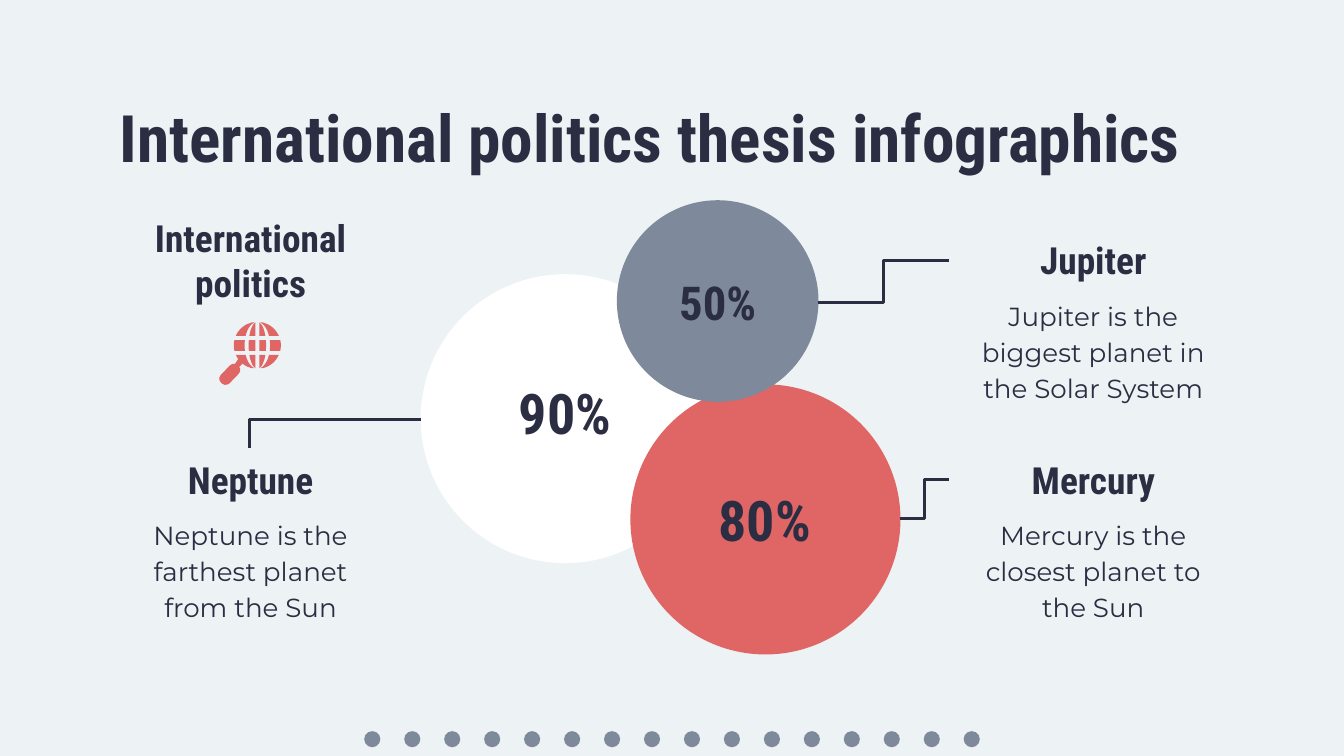
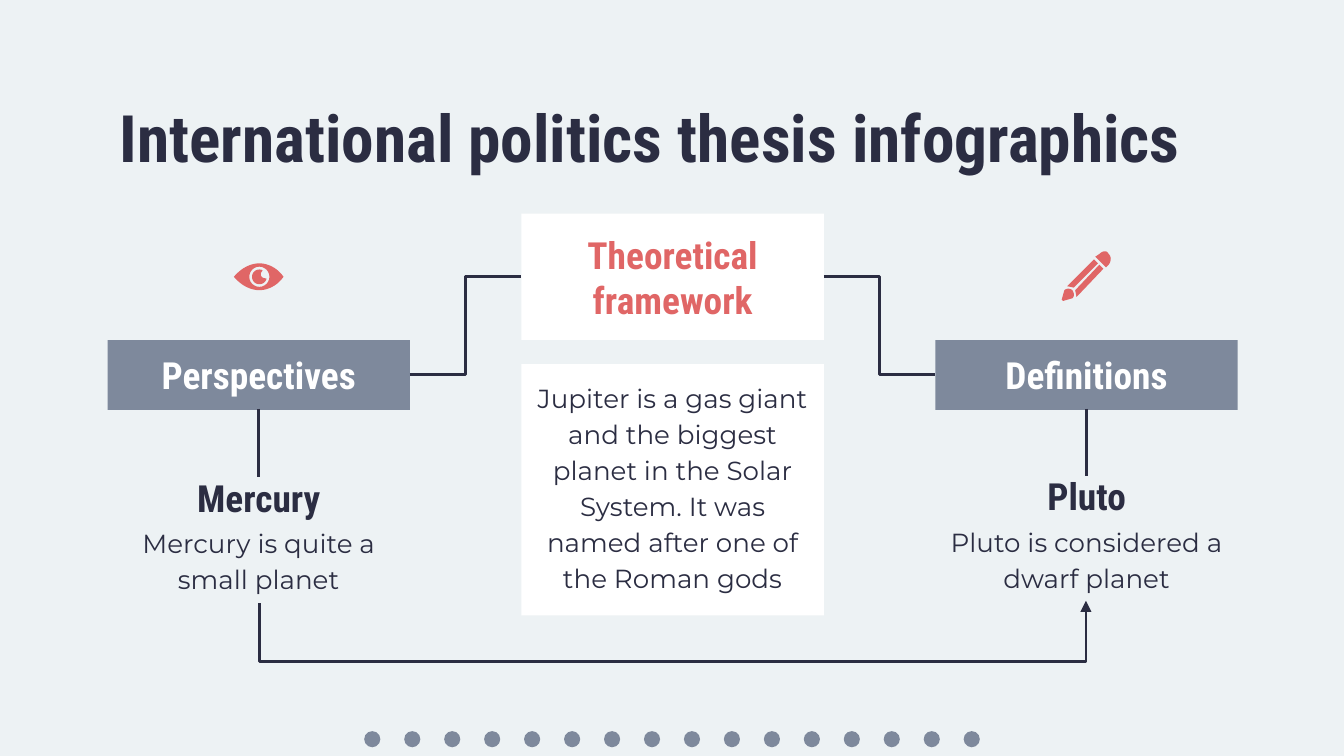
from dataclasses import dataclass
from itertools import product
from math import cos, pi, sin, sqrt
from typing import NamedTuple

from lxml.etree import SubElement
from pptx import Presentation
from pptx.dml.color import RGBColor
from pptx.enum.shapes import MSO_CONNECTOR, MSO_SHAPE
from pptx.enum.text import MSO_ANCHOR, PP_ALIGN
from pptx.oxml.ns import qn
from pptx.shapes.autoshape import Shape
from pptx.shapes.connector import Connector
from pptx.slide import Slide
from pptx.util import Inches, Pt


class TextStyle(NamedTuple):
    font: str
    size: int
    color: RGBColor
    bold: bool = True
    align: PP_ALIGN = PP_ALIGN.CENTER
    anchor: MSO_ANCHOR = MSO_ANCHOR.MIDDLE
    line_spacing: float | None = None


class Theme:
    background = RGBColor.from_string("EDF2F4")
    navy = RGBColor.from_string("2B2D42")
    slate = RGBColor.from_string("7E899C")
    coral = RGBColor.from_string("E06666")
    white = RGBColor.from_string("FFFFFF")
    line_width = 1.5
    margin = 0.1
    display, text = "Roboto Condensed", "Montserrat"
    title = TextStyle(display, 35, navy, align=PP_ALIGN.LEFT, anchor=MSO_ANCHOR.TOP)
    heading = TextStyle(display, 20, navy)
    heading_white = heading._replace(color=white)
    heading_coral = heading._replace(color=coral)
    figure = heading._replace(size=30)
    figure_small = heading._replace(size=25)
    body = TextStyle(text, 14, navy, bold=False, anchor=MSO_ANCHOR.TOP, line_spacing=1.15)


class Box(NamedTuple):
    left: float
    top: float
    width: float
    height: float

    def emu(self) -> list[int]:
        return [Inches(length) for length in self]


Point = tuple[float, float]


@dataclass(frozen=True)
class Planet:
    name: str
    description: str
    name_box: Box
    description_box: Box


@dataclass(frozen=True)
class Bubble:
    circle: Box
    color: RGBColor
    percent: str
    percent_box: Box
    percent_style: TextStyle
    planet: Planet


@dataclass(frozen=True)
class Panel:
    text: str
    box: Box
    color: RGBColor
    style: TextStyle


# Text and shapes
def write(shape: Shape, text: str, style: TextStyle) -> None:
    frame = shape.text_frame
    frame.word_wrap = True
    frame.vertical_anchor = style.anchor
    frame.margin_left = frame.margin_right = Inches(Theme.margin)
    frame.margin_top = frame.margin_bottom = Inches(Theme.margin)
    paragraph = frame.paragraphs[0]
    paragraph.text = text
    paragraph.alignment = style.align
    paragraph.line_spacing = style.line_spacing
    font = paragraph.font
    font.name, font.size, font.bold = style.font, Pt(style.size), style.bold
    font.color.rgb = style.color


def add_text(slide: Slide, box: Box, text: str, style: TextStyle) -> None:
    write(slide.shapes.add_textbox(*box.emu()), text, style)


def paint(shape: Shape, color: RGBColor) -> Shape:
    shape.shadow.inherit = False
    shape.fill.solid()
    shape.fill.fore_color.rgb = color
    shape.line.fill.background()
    return shape


def add_filled(slide: Slide, preset: MSO_SHAPE, box: Box, color: RGBColor) -> Shape:
    return paint(slide.shapes.add_shape(preset, *box.emu()), color)


def add_planet(slide: Slide, planet: Planet) -> None:
    add_text(slide, planet.name_box, planet.name, Theme.heading)
    add_text(slide, planet.description_box, planet.description, Theme.body)


# Connectors
def add_link(slide: Slide, start: Point, end: Point,
             kind: MSO_CONNECTOR = MSO_CONNECTOR.ELBOW) -> Connector:
    link = slide.shapes.add_connector(kind, *(Inches(v) for v in (*start, *end)))
    link.line.color.rgb = Theme.navy
    link.line.width = Pt(Theme.line_width)
    SubElement(link._element.spPr, qn("a:effectLst"))
    return link


def add_corner_link(slide: Slide, start: Point, end: Point) -> None:
    """One bend: across first, then down."""
    link = add_link(slide, start, end)
    link._element.spPr.find(qn("a:prstGeom")).set("prst", "bentConnector2")


def add_loop_arrow(slide: Slide, start: Point, end: Point, floor: float) -> None:
    """Down from start to the floor, across, and up to an arrowhead at end."""
    rise, run = start[1] - end[1], end[0] - start[0]
    middle_x, middle_y = (start[0] + end[0]) / 2, (start[1] + end[1]) / 2
    link = add_link(slide, (middle_x - rise / 2, middle_y - run / 2),
                    (middle_x + rise / 2, middle_y + run / 2))
    properties = link._element.spPr
    properties.find(qn("a:xfrm")).set("rot", str(270 * 60000))
    adjustment = round((start[1] - floor) / rise * 100000)
    guides = properties.find(qn("a:prstGeom")).find(qn("a:avLst"))
    SubElement(guides, qn("a:gd"), name="adj1", fmla=f"val {adjustment}")
    SubElement(properties.find(qn("a:ln")), qn("a:tailEnd"), type="triangle")


# Icon outlines
def arc(center: Point, radius: float, start: float = 0, end: float = 360,
        steps: int = 24) -> list[Point]:
    angles = [(start + (end - start) * i / steps) * pi / 180 for i in range(steps + 1)]
    return [(center[0] + radius * cos(a), center[1] + radius * sin(a)) for a in angles]


def curve(a: Point, b: Point, c: Point, d: Point, steps: int = 10) -> list[Point]:
    def at(t: float) -> Point:
        weights = ((1 - t) ** 3, 3 * t * (1 - t) ** 2, 3 * t * t * (1 - t), t ** 3)
        x, y = (sum(w * p[axis] for w, p in zip(weights, (a, b, c, d))) for axis in (0, 1))
        return x, y
    return [at(i / steps) for i in range(steps + 1)]


def add_outline(slide: Slide, *contours: list[Point]) -> None:
    builder = None
    for contour in contours:
        first, *rest = [(Inches(x), Inches(y)) for x, y in contour]
        if builder is None:
            builder = slide.shapes.build_freeform(*first)
        else:
            builder.move_to(*first)
        builder.add_line_segments(rest, close=True)
    paint(builder.convert_to_shape(), Theme.coral)


def add_globe_magnifier(slide: Slide) -> None:
    center_x, center_y, radius = 1.915, 2.57, 0.175
    bands = ((-0.17, -0.07), (-0.04, 0.04), (0.07, 0.17))

    def meridian(reach: float, dy: float) -> float:
        return reach * sqrt(1 - (dy / radius) ** 2)

    for (top, bottom), side in product(bands, (-1, 1)):
        levels = [top + (bottom - top) * i / 8 for i in range(9)]
        inner = [(0.015, dy) for dy in (top, bottom)]
        inner_rim = [(max(meridian(0.065, dy), 0.015), dy) for dy in levels]
        outer = [(meridian(0.095, dy), dy) for dy in levels]
        outer_rim = [(meridian(radius, dy), dy) for dy in levels]
        for near, far in ((inner, inner_rim), (outer, outer_rim)):
            add_outline(slide, [(center_x + side * dx, center_y + dy)
                                for dx, dy in near + far[::-1]])
    # Neck and handle
    add_outline(slide, [(1.78, 2.66), (1.82, 2.69), (1.77, 2.74), (1.74, 2.72)])
    handle = add_filled(slide, MSO_SHAPE.ROUNDED_RECTANGLE,
                        Box(1.62, 2.74, 0.18, 0.09), Theme.coral)
    handle.adjustments[0] = 0.45
    handle.rotation = -46


def add_eye(slide: Slide) -> None:
    left, right, middle = 1.74, 2.11, 2.06
    upper = curve((left, middle), (1.8, 1.99), (1.87, 1.96), (1.93, 1.96)) \
        + curve((1.93, 1.96), (1.99, 1.96), (2.06, 1.99), (right, middle))
    lower = [(x, 2 * middle - y) for x, y in reversed(upper)]
    add_outline(slide, upper + lower, arc((1.93, middle), 0.075))
    add_outline(slide, arc((1.93, middle), 0.055, 15, 295)
                + arc((1.97, 2.04), 0.03, 230, 90, steps=8))


def add_pencil(slide: Slide) -> None:
    add_outline(slide, [(8.14, 1.93), (7.94, 2.13), (7.99, 2.14), (8.17, 1.96)])
    add_outline(slide, [(8.18, 1.97), (8, 2.16), (8.01, 2.21), (8.21, 2)])
    add_outline(slide, curve((8.18, 1.89), (8.19, 1.88), (8.23, 1.85), (8.25, 1.89))
                + curve((8.25, 1.89), (8.27, 1.91), (8.27, 1.94), (8.25, 1.97))
                + [(8.23, 1.99), (8.15, 1.91)])
    add_outline(slide, curve((7.92, 2.16), (7.94, 2.14), (7.97, 2.15), (7.98, 2.16))
                + curve((7.98, 2.16), (7.99, 2.18), (8, 2.2), (7.98, 2.22))
                + [(7.91, 2.24), (7.9, 2.23)])


# Shared slide frame
def add_framed_slide(deck: Presentation) -> Slide:
    slide = deck.slides.add_slide(deck.slide_layouts[6])
    slide.background.fill.solid()
    slide.background.fill.fore_color.rgb = Theme.background
    dot_count, first_dot, last_dot = 16, 2.71, 7.17
    pitch = (last_dot - first_dot) / (dot_count - 1)
    for i in range(dot_count):
        add_filled(slide, MSO_SHAPE.OVAL, Box(first_dot + i * pitch, 5.44, 0.12, 0.12),
                   Theme.slate)
    add_text(slide, Box(0.79, 0.62, 8.42, 0.62),
             "International politics thesis infographics", Theme.title)
    return slide


def planet_column(name: str, description: str, left: float, top: float) -> Planet:
    return Planet(name, description, Box(left, top, 2.15, 0.47),
                  Box(left, top + 0.4, 2.15, 0.9))


BUBBLES = (
    Bubble(Box(3.13, 2.04, 2.15, 2.15), Theme.white, "90%", Box(3.6, 2.86, 1.21, 0.41),
           Theme.figure,
           planet_column("Neptune", "Neptune is the farthest planet from the Sun", 0.79, 3.33)),
    Bubble(Box(4.69, 2.86, 2.01, 2.01), Theme.coral, "80%", Box(5.14, 3.66, 1.1, 0.41),
           Theme.figure,
           planet_column("Mercury", "Mercury is the closest planet to the Sun", 7.06, 3.33)),
    Bubble(Box(4.59, 1.49, 1.5, 1.5), Theme.slate, "50%", Box(4.79, 2.04, 1.1, 0.41),
           Theme.figure_small,
           planet_column("Jupiter", "Jupiter is the biggest planet in the Solar System",
                         7.06, 1.7)),
)

PANELS = (
    Panel("Perspectives", Box(0.8, 2.53, 2.25, 0.52), Theme.slate, Theme.heading_white),
    Panel("Jupiter is a gas giant and the biggest planet in the Solar System. "
          "It was named after one of the Roman gods",
          Box(3.88, 2.71, 2.25, 1.87), Theme.white, Theme.body),
    Panel("Theoretical framework", Box(3.88, 1.59, 2.25, 0.94), Theme.white,
          Theme.heading_coral),
    Panel("Definitions", Box(6.96, 2.53, 2.25, 0.52), Theme.slate, Theme.heading_white),
)

FRAMEWORK_PLANETS = (
    Planet("Mercury", "Mercury is quite a small planet",
           Box(0.8, 3.55, 2.25, 0.3), Box(0.8, 3.79, 2.25, 0.7)),
    Planet("Pluto", "Pluto is considered a dwarf planet",
           Box(6.96, 3.54, 2.25, 0.3), Box(6.96, 3.78, 2.25, 0.69)),
)


def build_bubbles(deck: Presentation) -> None:
    slide = add_framed_slide(deck)
    for bubble in BUBBLES:
        add_filled(slide, MSO_SHAPE.OVAL, bubble.circle, bubble.color)
        add_text(slide, bubble.percent_box, bubble.percent, bubble.percent_style)
        add_planet(slide, bubble.planet)
    add_corner_link(slide, (3.13, 3.12), (1.86, 3.33))
    add_link(slide, (6.09, 2.25), (7.06, 1.94))
    add_link(slide, (6.7, 3.86), (7.06, 3.57))
    add_text(slide, Box(0.79, 1.55, 2.15, 0.77), "International politics", Theme.heading)
    add_globe_magnifier(slide)


def build_framework(deck: Presentation) -> None:
    slide = add_framed_slide(deck)
    for panel in PANELS:
        write(add_filled(slide, MSO_SHAPE.RECTANGLE, panel.box, panel.color),
              panel.text, panel.style)
    for planet in FRAMEWORK_PLANETS:
        add_planet(slide, planet)
        middle = planet.name_box.left + planet.name_box.width / 2
        add_link(slide, (middle, 3.04), (middle, planet.name_box.top), MSO_CONNECTOR.STRAIGHT)
    add_link(slide, (3.05, 2.79), (3.88, 2.06))
    add_link(slide, (6.13, 2.06), (6.96, 2.79))
    add_eye(slide)
    add_pencil(slide)
    add_loop_arrow(slide, (1.93, 4.49), (8.08, 4.47), floor=4.92)


def main() -> None:
    deck = Presentation()
    # Widescreen, 16:9
    deck.slide_width = Inches(10)
    deck.slide_height = Inches(10 * 9 / 16)
    build_bubbles(deck)
    build_framework(deck)
    deck.save("out.pptx")


if __name__ == "__main__":
    main()
